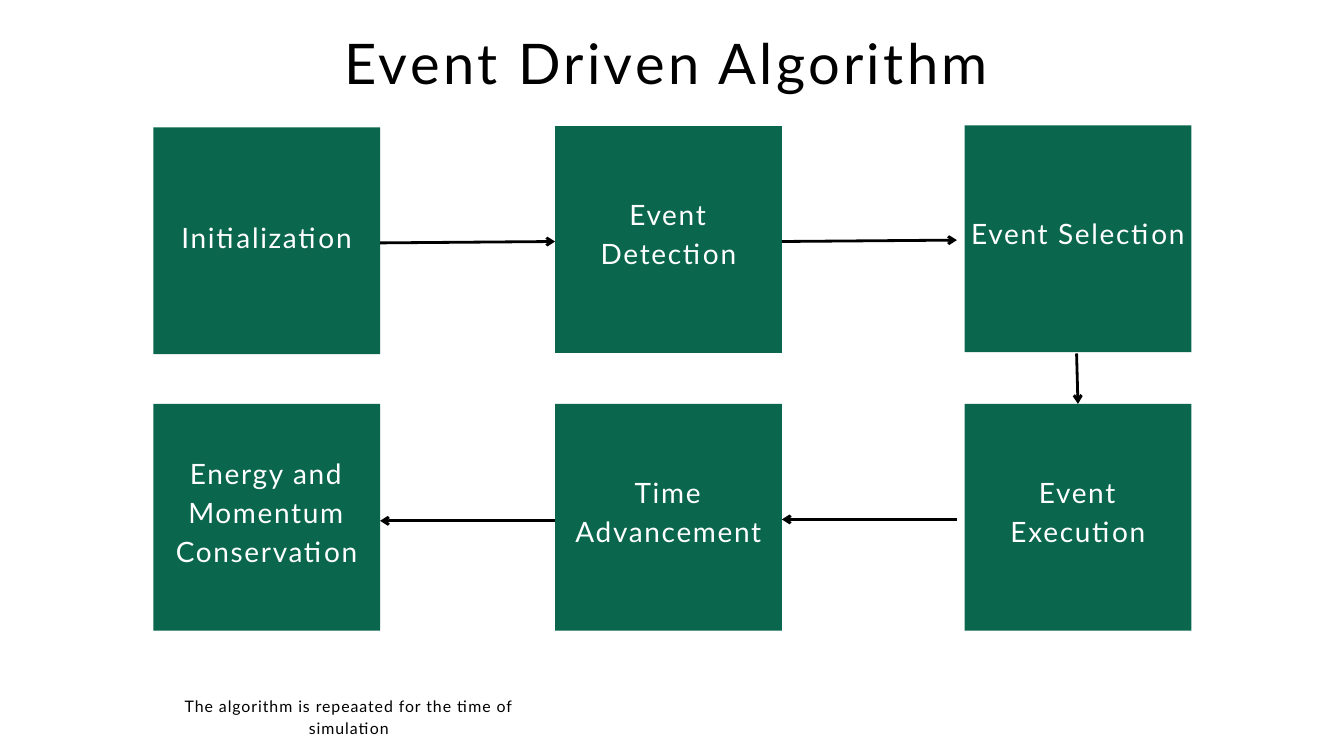
from pptx import Presentation
from pptx.dml.color import RGBColor
from pptx.enum.shapes import MSO_CONNECTOR as Line, MSO_SHAPE as Shape
from pptx.enum.text import MSO_ANCHOR as Anchor, PP_ALIGN as Align
from pptx.oxml.ns import qn
from pptx.util import Pt
from lxml.etree import SubElement

PX = 9525  # EMU per px, 96 px to the inch
GREEN = RGBColor(0x0A, 0x66, 0x4D)
BLACK = RGBColor(0, 0, 0)
WHITE = RGBColor(255, 255, 255)
FONT = "Lato"

SIDE = 324
COLS = (219, 793, 1378)
LOW = 577
GAP = 250
STEPS = (
    ("Initialization", COLS[0], 182, 19),
    ("Event Detection", COLS[1], 180, 23),
    ("Event Selection", COLS[2], 179, 23),
    ("Event Execution", COLS[2], LOW, 23),
    ("Time Advancement", COLS[1], LOW, 23),
    ("Energy and Momentum Conservation", COLS[0], LOW, 23),
)
ARROWS = (
    (COLS[0] + SIDE, 347, GAP, -2),
    (COLS[1] + SIDE, 345, GAP, -2),
    (1538, 505, 2, 72),
    (COLS[1] + SIDE + GAP, 742, -GAP, 0),
    (COLS[1], 744, -GAP, 0),
)


def emu(*sizes):
    return [size * PX for size in sizes]


def write(shape, text, size, lead, track, color=BLACK, align=Align.CENTER,
          anchor=Anchor.TOP, inset=0):
    """Fill a shape with one paragraph; lead and track are in points."""
    frame = shape.text_frame
    frame.word_wrap = True
    frame.vertical_anchor = anchor
    frame.margin_left = frame.margin_right = inset * PX
    frame.margin_top = frame.margin_bottom = inset * PX
    para = frame.paragraphs[0]
    para.alignment = align
    para.line_spacing = Pt(lead)
    para.space_before = Pt(0)
    run = para.add_run()
    run.text = text
    run.font.name = FONT
    run.font.size = Pt(size)
    run.font.color.rgb = color
    run._r.get_or_add_rPr().set("spc", str(round(track * 100)))


def add_title(slide, x, y, w, h):
    title = slide.shapes.title
    title.left, title.top, title.width, title.height = emu(x, y, w, h)
    write(title, "Event Driven Algorithm", 60, 84, 3.6, align=Align.JUSTIFY)


def add_step(slide, text, x, y, lift):
    """Add a green square whose label box starts lift px above it."""
    group = slide.shapes.add_group_shape().shapes
    box = group.add_shape(Shape.RECTANGLE, *emu(x, y, SIDE, SIDE))
    box.shadow.inherit = False
    box.fill.solid()
    box.fill.fore_color.rgb = GREEN
    box.line.fill.background()
    label = group.add_textbox(*emu(x, y - lift, SIDE, SIDE + lift))
    write(label, text, 30, 42, 1.8, color=WHITE, anchor=Anchor.MIDDLE, inset=6)


def add_arrow(slide, x, y, dx, dy):
    arrow = slide.shapes.add_connector(
        Line.STRAIGHT, *emu(x, y, x + dx, y + dy))
    arrow.line.color.rgb = BLACK
    arrow.line.width = Pt(3)
    SubElement(arrow.line._get_or_add_ln(), qn("a:tailEnd"), type="arrow")
    SubElement(arrow._element.spPr, qn("a:effectLst"))


def add_note(slide, x, y, w, h):
    note = slide.shapes.add_textbox(*emu(x, y, w, h))
    write(note, "The algorithm is repeaated for the time of simulation",
          17, 23.8, 1)


def main():
    deck = Presentation()
    deck.slide_width, deck.slide_height = emu(1920, 1080)
    slide = deck.slides.add_slide(deck.slide_layouts.get_by_name("Title Only"))
    add_title(slide, 492, 25, 937, 108)
    for step in STEPS:
        add_step(slide, *step)
    for arrow in ARROWS:
        add_arrow(slide, *arrow)
    add_note(slide, COLS[0], 991, 559, 30)
    deck.save("out.pptx")


if __name__ == "__main__":
    main()
